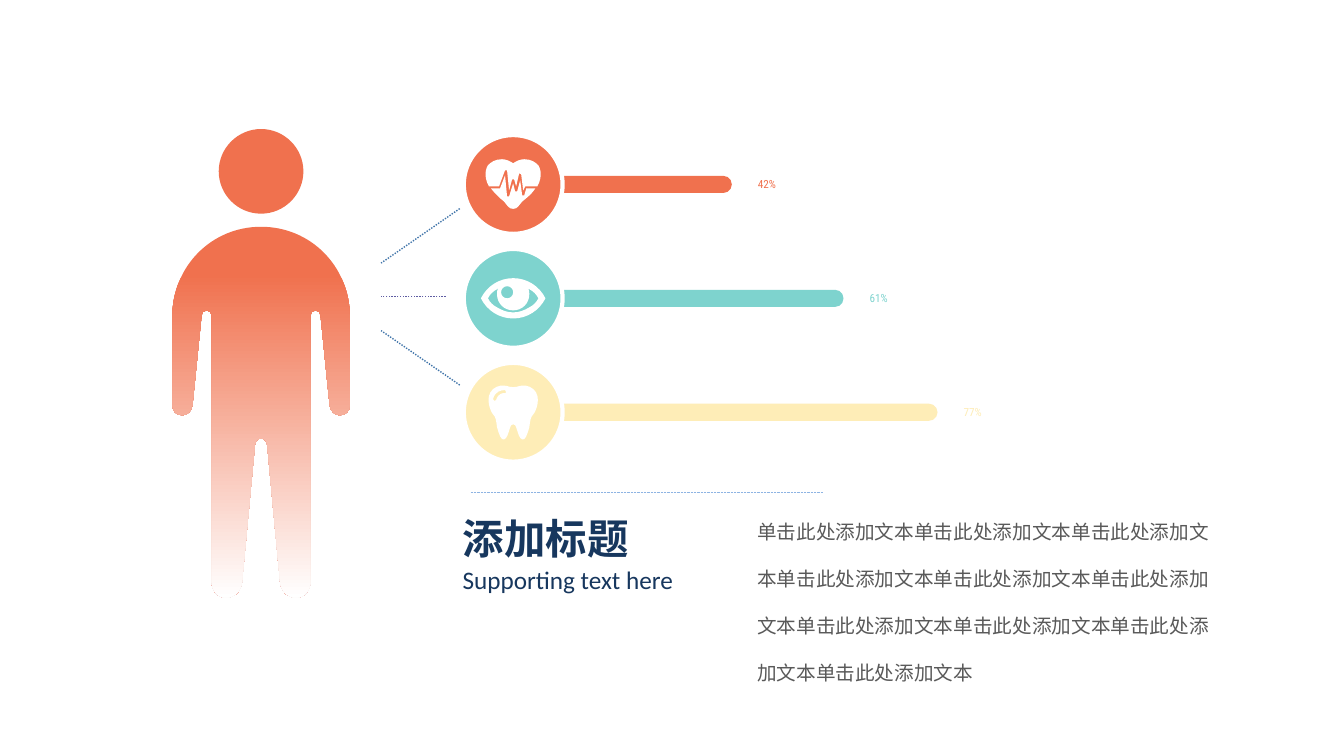
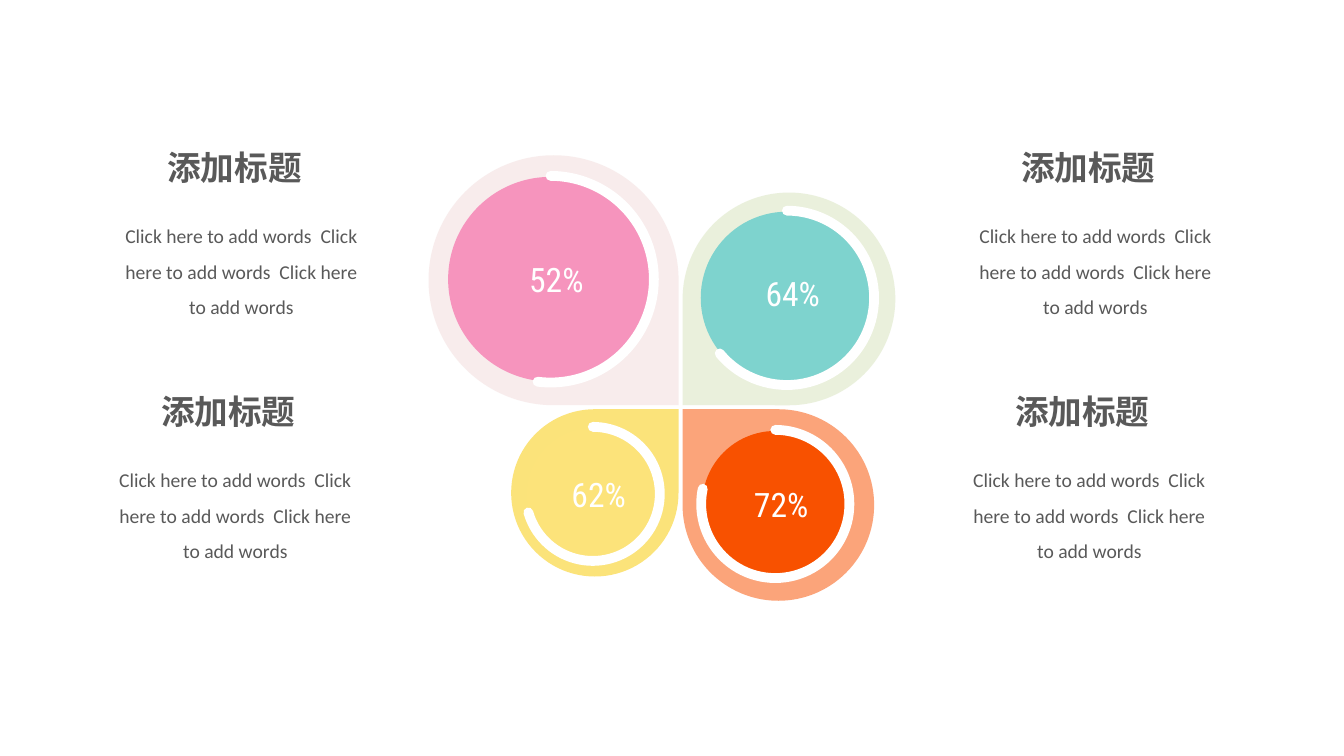
from dataclasses import dataclass

from lxml import etree
from pptx import Presentation
from pptx import util as u
from pptx.dml.color import RGBColor
from pptx.enum import dml, shapes
from pptx.enum import text as txt
from pptx.oxml.ns import qn

COLS, ROWS = 13.33, 7.5
CELL = u.Inches(1)
HEADING = "添加标题"


@dataclass(frozen=True)
class Theme:
    """Colours, fonts and type sizes of the deck."""
    white: str = "FFFFFF"
    grey: str = "595959"
    navy: str = "17375E"
    coral: str = "F0714E"
    teal: str = "7ED3CE"
    cream: str = "FEEDB7"
    pink: str = "F694BD"
    orange: str = "F85100"
    yellow: str = "FCE37A"
    blush: str = "F2DCDB"
    sage: str = "D7E4BD"
    gold: str = "F9CA00"
    blue: str = "4276AA"
    violet: str = "5E5CA2"
    sky: str = "8EB4E3"
    latin: str = "Calibri"
    asian: str = "Noto Sans CJK SC"
    digits: str = "Roboto Condensed"
    title: float = 29.6
    heading: float = 24
    subtitle: float = 18
    body: float = 14
    small: float = 8


T = Theme()


def grid(*cells):
    """Turn grid cells into slide lengths."""
    return [u.Emu(round(c * CELL)) for c in cells]


def rgb(color):
    """Return the colour object of a hex code."""
    return RGBColor.from_string(color)


def paint(sp, fill=None, line=None, width=1.0, alpha=None):
    """Set fill, outline and transparency of a shape without shadow."""
    sp.shadow.inherit = False
    if fill:
        sp.fill.solid()
        sp.fill.fore_color.rgb = rgb(fill)
        if alpha:
            clr = sp.fill._xPr.find(".//" + qn("a:srgbClr"))
            etree.SubElement(clr, qn("a:alpha")).set("val", str(alpha * 1000))
    else:
        sp.fill.background()
    if line:
        sp.line.color.rgb = rgb(line)
        sp.line.width = u.Pt(width)
    else:
        sp.line.fill.background()
    return sp


def preset(s, kind, box, **look):
    """Add a painted preset shape."""
    return paint(s.shapes.add_shape(kind, *grid(*box)), **look)


def disc(s, cx, cy, d, **look):
    """Add a circle around a centre."""
    return preset(s, shapes.MSO_SHAPE.OVAL, (cx - d / 2, cy - d / 2, d, d), **look)


def write(s, box, content, ph=None, size=T.body, color=T.grey, font=T.latin,
          bold=False, align=txt.PP_ALIGN.LEFT, anchor=txt.MSO_ANCHOR.TOP,
          spacing=1.0, wrap=True):
    """Fill a placeholder or a new text box with one formatted paragraph."""
    sp = ph if ph is not None else s.shapes.add_textbox(*grid(*box))
    sp.left, sp.top, sp.width, sp.height = grid(*box)
    tf = sp.text_frame
    tf.auto_size = txt.MSO_AUTO_SIZE.NONE
    tf.word_wrap = wrap
    tf.vertical_anchor = anchor
    p = tf.paragraphs[0]
    p.alignment = align
    p.line_spacing = spacing
    p.space_before = u.Pt(0)
    pPr = p._p.get_or_add_pPr()
    pPr.set("marL", "0")
    pPr.set("indent", "0")
    etree.SubElement(pPr, qn("a:buNone"))
    r = p.add_run()
    r.text = content
    r.font.size, r.font.bold, r.font.name = u.Pt(size), bold, font
    r.font.color.rgb = rgb(color)
    ea = etree.Element(qn("a:ea"), typeface=T.asian)
    r._r.rPr.find(qn("a:latin")).addnext(ea)


def dotted(s, x1, y1, x2, y2, color, width=1.0):
    """Add a dotted straight connector."""
    ln = s.shapes.add_connector(shapes.MSO_CONNECTOR.STRAIGHT, *grid(x1, y1, x2, y2))
    ln.line.color.rgb = rgb(color)
    ln.line.width = u.Pt(width)
    ln.line.dash_style = dml.MSO_LINE.ROUND_DOT
    etree.SubElement(ln._element.spPr, qn("a:effectLst"))


def mirrored(half):
    """Complete a right half outline, of points and cubics, with its reflection."""
    back = []
    for before, piece in zip(reversed(half[:-1]), reversed(half[1:])):
        x, y = before[-2:]
        bend = (-piece[2], piece[3], -piece[0], piece[1]) if len(piece) == 6 else ()
        back.append((*bend, -x, y))
    return half + back


def circle(cx, cy, r):
    """Return a circle as four cubics."""
    k = .55 * r
    return [(cx, cy - r), (cx + k, cy - r, cx + r, cy - k, cx + r, cy),
            (cx + r, cy + k, cx + k, cy + r, cx, cy + r),
            (cx - k, cy + r, cx - r, cy + k, cx - r, cy),
            (cx - r, cy - k, cx - k, cy - r, cx, cy - r)]


def outline(s, cx, cy, *contours, **look):
    """Add a closed freeform of points and cubics placed relative to a centre."""
    unit = 2000
    fb = None
    for contour in contours:
        pts = [(round(c[i] * unit), round(c[i + 1] * unit))
               for c in contour for i in range(0, len(c), 2)]
        if fb is None:
            fb = s.shapes.build_freeform(*pts[0], scale=CELL / unit)
        else:
            fb.move_to(*pts[0])
        fb.add_line_segments(pts[1:], close=True)
    sp = fb.convert_to_shape(*grid(cx, cy))
    legs = iter(list(sp._element.iter(qn("a:lnTo"))))
    for piece in (c for contour in contours for c in contour[1:]):
        group = [next(legs) for _ in range(len(piece) // 2)]
        if len(group) == 3:
            cubic = etree.Element(qn("a:cubicBezTo"))
            group[0].addprevious(cubic)
            for leg in group:
                cubic.append(leg[0])
                leg.getparent().remove(leg)
    return paint(sp, **look)


def heart_icon(s, cx, cy):
    """Draw a heart split by a pulse line."""
    upper = [(-.11, -.25), (-.07, -.25, -.03, -.23, 0, -.21),
             (.03, -.23, .07, -.25, .11, -.25), (.18, -.25, .22, -.22, .25, -.19),
             (.27, -.16, .28, -.11, .27, -.06), (.27, -.03, .25, -.01, .24, .02),
             (.12, .02), (.1, .06), (.08, -.1), (.06, -.11), (.03, .02), (.01, -.05),
             (-.01, -.05), (-.04, .06), (-.06, -.14), (-.08, -.14), (-.14, .02),
             (-.24, .02), (-.25, -.01, -.27, -.03, -.27, -.06),
             (-.28, -.11, -.27, -.16, -.25, -.19), (-.22, -.22, -.18, -.25, -.11, -.25)]
    lower = [(-.08, -.09), (-.06, .12), (-.04, .12), (0, -.01), (.02, .07), (.04, .07),
             (.07, -.04), (.09, .11), (.11, .11), (.13, .04), (.22, .04),
             (.19, .09, .14, .13, .09, .17), (.05, .22), (.03, .25, -.03, .25, -.05, .22),
             (-.09, .17), (-.14, .13, -.18, .09, -.22, .04), (-.13, .04)]
    outline(s, cx, cy, upper, lower, fill=T.white)


def eye_icon(s, cx, cy):
    """Draw an eye with an iris and a highlight."""
    lid = [(0, -.2), (.14, -.2, .26, -.12, .32, 0), (.26, .12, .14, .2, 0, .2)]
    gap = [(0, .12), (.09, .12, .16, .05, .16, -.04), (.16, -.06, .16, -.08, .15, -.1),
           (.16, -.09), (.2, -.07, .23, -.04, .25, 0), (.23, .04, .2, .07, .16, .09),
           (.11, .12, .06, .14, 0, .14)]
    outline(s, cx, cy, mirrored(lid), mirrored(gap), circle(-.06, -.06, .06), fill=T.white)


def tooth_icon(s, cx, cy):
    """Draw a tooth with a glint."""
    half = [(0, -.25), (.02, -.25, .04, -.25, .06, -.26),
            (.1, -.27, .15, -.27, .2, -.23), (.29, -.15, .22, 0, .2, .02),
            (.17, .05, .17, .08, .16, .15), (.14, .22, .12, .28, .09, .27),
            (.06, .26, .05, .21, .03, .15), (.02, .13, .02, .12, 0, .12)]
    glint = [(-.07, -.2), (-.07, -.19, -.08, -.19, -.09, -.19),
             (-.1, -.19, -.15, -.19, -.17, -.12), (-.18, -.11, -.2, -.11, -.2, -.13),
             (-.18, -.21, -.12, -.22, -.08, -.22)]
    outline(s, cx, cy, mirrored(half), glint, fill=T.white)


def person(s, cx, top):
    """Draw a standing figure that fades towards the feet."""
    half = [(0, .97), (.49, .97, .88, 1.36, .88, 1.86), (.88, 2.74),
            (.88, 2.8, .84, 2.84, .78, 2.84), (.73, 2.84, .69, 2.8, .68, 2.74),
            (.59, 1.85), (.59, 1.82, .57, 1.8, .54, 1.8), (.51, 1.8, .49, 1.82, .49, 1.85),
            (.49, 4.49), (.49, 4.58, .43, 4.65, .35, 4.65),
            (.27, 4.65, .21, 4.6, .19, 4.51), (.06, 3.13),
            (.06, 3.1, .03, 3.07, 0, 3.07)]
    sp = outline(s, cx, top, mirrored(half), circle(0, .42, .42), fill=T.coral)
    sp.fill.gradient()
    sp.fill.gradient_angle = 270
    for stop, place, color in zip(sp.fill.gradient_stops, (.31, 1), (T.coral, T.white)):
        stop.position = place
        stop.color.rgb = rgb(color)


def meter(s, cx, cy, percent, color, icon):
    """Draw an icon badge with its percentage bar."""
    left, length, thick = cx - .28, percent * .0583, .17
    bar = preset(s, shapes.MSO_SHAPE.ROUNDED_RECTANGLE,
                 (left, cy - thick / 2, length, thick), fill=color)
    bar.adjustments[0] = .5
    disc(s, cx, cy, .98, fill=color, line=T.white, width=3)
    icon(s, cx, cy)
    write(s, (left + length + .16, cy - .28, .8, .55), f"{percent}%", size=T.small,
          color=color, font=T.digits, anchor=txt.MSO_ANCHOR.MIDDLE)


def health_slide(prs):
    """Build the slide with the figure and three meters."""
    s = prs.slides.add_slide(prs.slide_layouts[1])
    person(s, 2.59, 1.28)
    meters = [(42, T.coral, heart_icon), (61, T.teal, eye_icon), (77, T.cream, tooth_icon)]
    for i, (percent, color, icon) in enumerate(meters):
        meter(s, 5.09, 1.83 + i * 1.13, percent, color, icon)
    for ends in ((4.56, 2.07, 3.78, 2.61), (4.56, 3.82, 3.78, 3.28)):
        dotted(s, *ends, T.blue)
    dotted(s, 4.42, 2.94, 3.78, 2.94, T.violet)
    dotted(s, 4.67, 4.88, 8.17, 4.88, T.sky, .5)
    write(s, (4.49, 5.04, 2.82, .6), HEADING, ph=s.shapes.title, size=T.title,
          color=T.navy, bold=True, anchor=txt.MSO_ANCHOR.MIDDLE)
    write(s, (4.49, 5.55, 2.82, .47), "Supporting text here", size=T.subtitle,
          color=T.navy, wrap=False)
    write(s, (7.41, 4.87, 4.78, 2.5), "单击此处添加文本" * 10, ph=s.placeholders[1],
          spacing=2.0)


def petal(s, cx, cy, sx, sy, size, tint, dx, dy, d, color, percent, sweep, lift):
    """Draw one petal with its disc, progress ring and value."""
    turn = {(-1, -1): 90, (1, -1): 180, (1, 1): 270, (-1, 1): 0}[sx, sy]
    px, py = cx + sx * (size / 2 + .02), cy + sy * (size / 2 + .02)
    drop = preset(s, shapes.MSO_SHAPE.TEAR, (px - size / 2, py - size / 2, size, size),
                  fill=tint, alpha=52)
    drop.rotation = turn
    px, py = px + dx, py + dy
    disc(s, px, py, d, fill=color)
    edge = d / 2 + .01
    ring = preset(s, shapes.MSO_SHAPE.ARC, (px - edge, py - edge, 2 * edge, 2 * edge),
                  line=T.white, width=7)
    for i, degrees in enumerate((270, sweep * 3.6 - 90)):
        ring.adjustments[i] = degrees * .6
    ring.line._get_or_add_ln().set("cap", "rnd")
    write(s, (px - .31, py - .24 - lift, .73, .48), f"{percent}%", size=T.heading,
          color=T.white, font=T.digits, anchor=txt.MSO_ANCHOR.MIDDLE, wrap=False)


def callout(s, x, y, ph=None):
    """Write a heading above a centred paragraph."""
    write(s, (x + .5, y, 1.7, .5), HEADING, ph=ph, size=T.heading, font=T.asian,
          bold=True, align=txt.PP_ALIGN.JUSTIFY)
    write(s, (x, y + .65, 2.67, 1.5), "  ".join(["Click here to add words"] * 3),
          align=txt.PP_ALIGN.CENTER, spacing=1.5)


def petals_slide(prs):
    """Build the slide with four petals and four callouts."""
    s = prs.slides.add_slide(prs.slide_layouts[5])
    petals = [
        (-1, -1, 2.48, T.blush, -.03, -.01, 2.03, T.pink, 52, 52, 0),
        (1, -1, 2.11, T.sage, -.02, -.01, 1.71, T.teal, 64, 64, .05),
        (1, 1, 1.9, T.orange, -.03, -.01, 1.45, T.orange, 72, 78.3, 0),
        (-1, 1, 1.66, T.gold, -.02, .01, 1.31, T.yellow, 62, 70.55, 0),
    ]
    for data in petals:
        petal(s, 6.75, 4.04, *data)
    for col in range(2):
        for row in range(2):
            callout(s, 1.06 + 8.47 * col - .06 * row, 1.41 + 2.42 * row,
                    ph=None if col or row else s.shapes.title)


def main():
    """Build and save the deck."""
    prs = Presentation()
    prs.slide_width, prs.slide_height = grid(COLS, ROWS)
    health_slide(prs)
    petals_slide(prs)
    prs.save("out.pptx")


if __name__ == "__main__":
    main()
